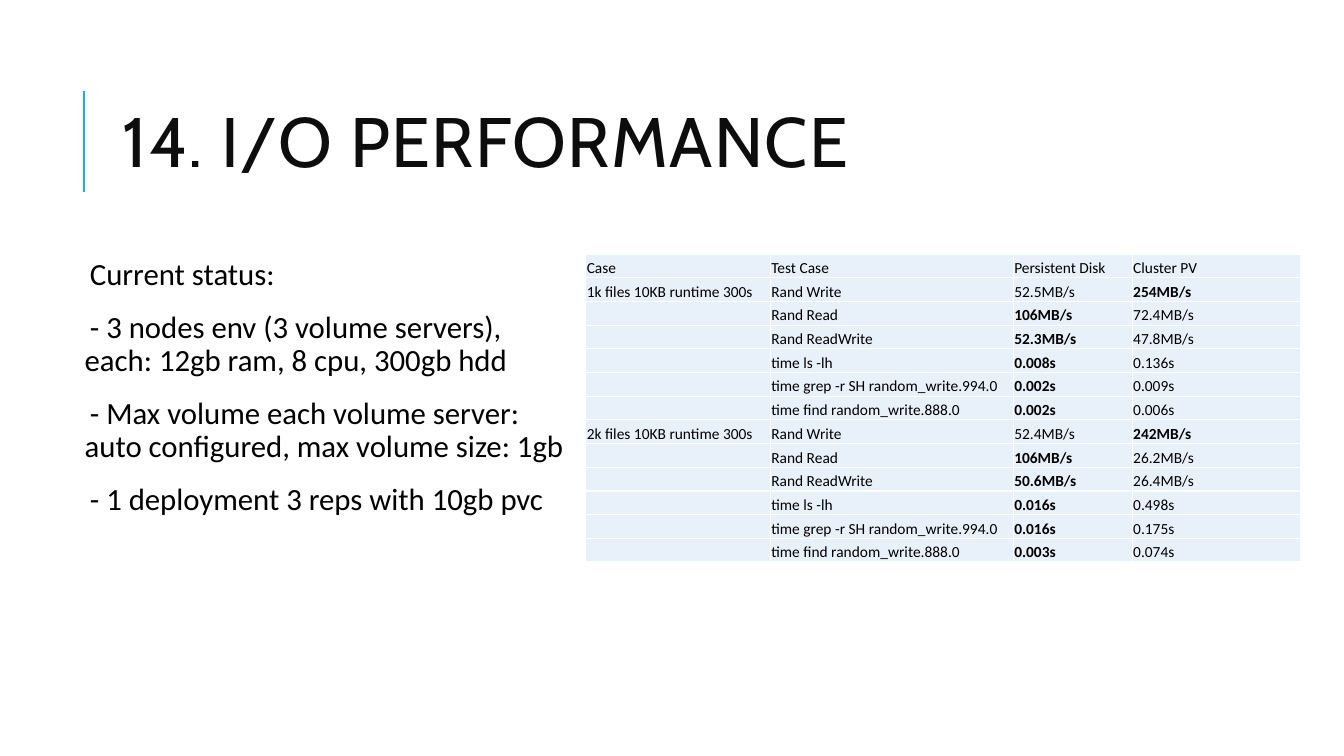
from lxml.etree import SubElement
from pptx import Presentation
from pptx.dml.color import RGBColor
from pptx.enum.shapes import MSO_CONNECTOR
from pptx.enum.text import MSO_ANCHOR
from pptx.oxml import parse_xml
from pptx.oxml.ns import nsdecls, qn
from pptx.util import Inches, Pt

COLORS = {"accent": "1CADE4", "title": "0D0D0D", "text": "000000",
          "cell": "E8F1FA", "border": "FFFFFF"}
TITLE_FONT, BODY_FONT = "Cabin", "Calibri"

STATUS = [
    "Current status:",
    "- 3 nodes env (3 volume servers), each: 12gb ram, 8 cpu, 300gb hdd",
    "- Max volume each volume server: auto configured, max volume size: 1gb",
    "- 1 deployment 3 reps with 10gb pvc",
]
HEADER = ["Case", "Test Case", "Persistent Disk", "Cluster PV"]
TESTS = ["Rand Write", "Rand Read", "Rand ReadWrite", "time ls -lh",
         "time grep -r SH random_write.994.0", "time find random_write.888.0"]
RESULTS = {
    "1k files 10KB runtime 300s": [
        ("52.5MB/s", "254MB/s"), ("106MB/s", "72.4MB/s"), ("52.3MB/s", "47.8MB/s"),
        ("0.008s", "0.136s"), ("0.002s", "0.009s"), ("0.002s", "0.006s")],
    "2k files 10KB runtime 300s": [
        ("52.4MB/s", "242MB/s"), ("106MB/s", "26.2MB/s"), ("50.6MB/s", "26.4MB/s"),
        ("0.016s", "0.498s"), ("0.016s", "0.175s"), ("0.003s", "0.074s")],
}
COLUMN_WIDTHS = [1.83, 2.41, 1.18, 1.67]


def add_span(para, text, size, font=BODY_FONT, color="text", bold=False):
    span = para.add_run()
    span.text = text
    span.font.size = Pt(size)
    span.font.name = font
    span.font.bold = bold
    span.font.color.rgb = RGBColor.from_string(COLORS[color])
    return span


def add_frame(page, box, inset):
    frame = page.shapes.add_textbox(*map(Inches, box)).text_frame
    frame.word_wrap = True
    frame.margin_left = frame.margin_right = Inches(inset)
    frame.margin_top = frame.margin_bottom = Inches(0.05)
    return frame


def add_title(page, box, text):
    left, top, width, height = box
    bar_x, middle = Inches(left - 0.29), top + height / 2 - 0.06
    bar = page.shapes.add_connector(MSO_CONNECTOR.STRAIGHT, bar_x, Inches(middle + 0.5),
                                    bar_x, Inches(middle - 0.5))
    bar.line.color.rgb = RGBColor.from_string(COLORS["accent"])
    bar.line.width = Pt(1.5)
    SubElement(bar._element.spPr, qn("a:effectLst"))

    frame = add_frame(page, box, 0.1)
    frame.vertical_anchor = MSO_ANCHOR.MIDDLE
    para = frame.paragraphs[0]
    para.line_spacing = 0.8
    span = add_span(para, text, 50, TITLE_FONT, "title")
    span.font._element.set("spc", "100")


def add_status(page, box, lines):
    frame = add_frame(page, box, 0.05)
    for number, line in enumerate(lines):
        para = frame.add_paragraph() if number else frame.paragraphs[0]
        para.line_spacing = 0.9
        para.space_before, para.space_after = Pt(12), Pt(2)
        add_span(para, line, 22)
        properties = para._p.get_or_add_pPr()
        properties.set("marL", str(Inches(0.1)))
        properties.set("indent", str(-Inches(0.1)))
        bullet_color = SubElement(properties, qn("a:buClr"))
        SubElement(bullet_color, qn("a:srgbClr"), val=COLORS["accent"])
        SubElement(properties, qn("a:buChar"), char=" ")


def result_rows():
    """Yield each table row as (text, bold) pairs; the better result is bold."""
    yield [(text, False) for text in HEADER]
    for case, pairs in RESULTS.items():
        for number, (test, pair) in enumerate(zip(TESTS, pairs)):
            disk, volume = (float(value.removesuffix("MB/s").removesuffix("s"))
                            for value in pair)
            disk_wins = disk > volume if pair[0].endswith("MB/s") else disk < volume
            yield [("" if number else case, False), (test, False),
                   (pair[0], disk_wins), (pair[1], not disk_wins)]


def fill_cell(cell, text, bold):
    cell.margin_left = cell.margin_right = cell.margin_top = Inches(0.01)
    cell.margin_bottom = 0
    cell.vertical_anchor = MSO_ANCHOR.BOTTOM
    cell.fill.solid()
    cell.fill.fore_color.rgb = RGBColor.from_string(COLORS["cell"])
    para = cell.text_frame.paragraphs[0]
    if text:
        add_span(para, text, 11, bold=bold)
    else:
        SubElement(para._p, qn("a:endParaRPr"), sz="1100")
    for position, side in enumerate(("lnL", "lnR", "lnT", "lnB")):
        border = parse_xml(
            f'<a:{side} {nsdecls("a")} w="{Pt(1)}"><a:solidFill>'
            f'<a:srgbClr val="{COLORS["border"]}"/></a:solidFill></a:{side}>')
        cell._tc.get_or_add_tcPr().insert(position, border)


def add_results(page, box):
    rows = list(result_rows())
    table = page.shapes.add_table(len(rows), len(HEADER), *map(Inches, box)).table
    table.first_row = table.horz_banding = False
    for column, width in zip(table.columns, COLUMN_WIDTHS):
        column.width = Inches(width)
    for row_number, row in enumerate(rows):
        table.rows[row_number].height = Inches(box[3] / len(rows))
        for column_number, (text, bold) in enumerate(row):
            fill_cell(table.cell(row_number, column_number), text, bold)


def main():
    deck = Presentation()
    deck.slide_width, deck.slide_height = Inches(13.33), Inches(7.5)
    page = deck.slides.add_slide(deck.slide_layouts[6])
    add_title(page, (1.12, 0.64, 10.63, 1.64), "14. I/O PERFORMANCE")
    add_status(page, (0.69, 2.52, 5.01, 4.62), STATUS)
    add_results(page, (5.81, 2.52, sum(COLUMN_WIDTHS), 3.06))
    deck.save("out.pptx")


if __name__ == "__main__":
    main()
